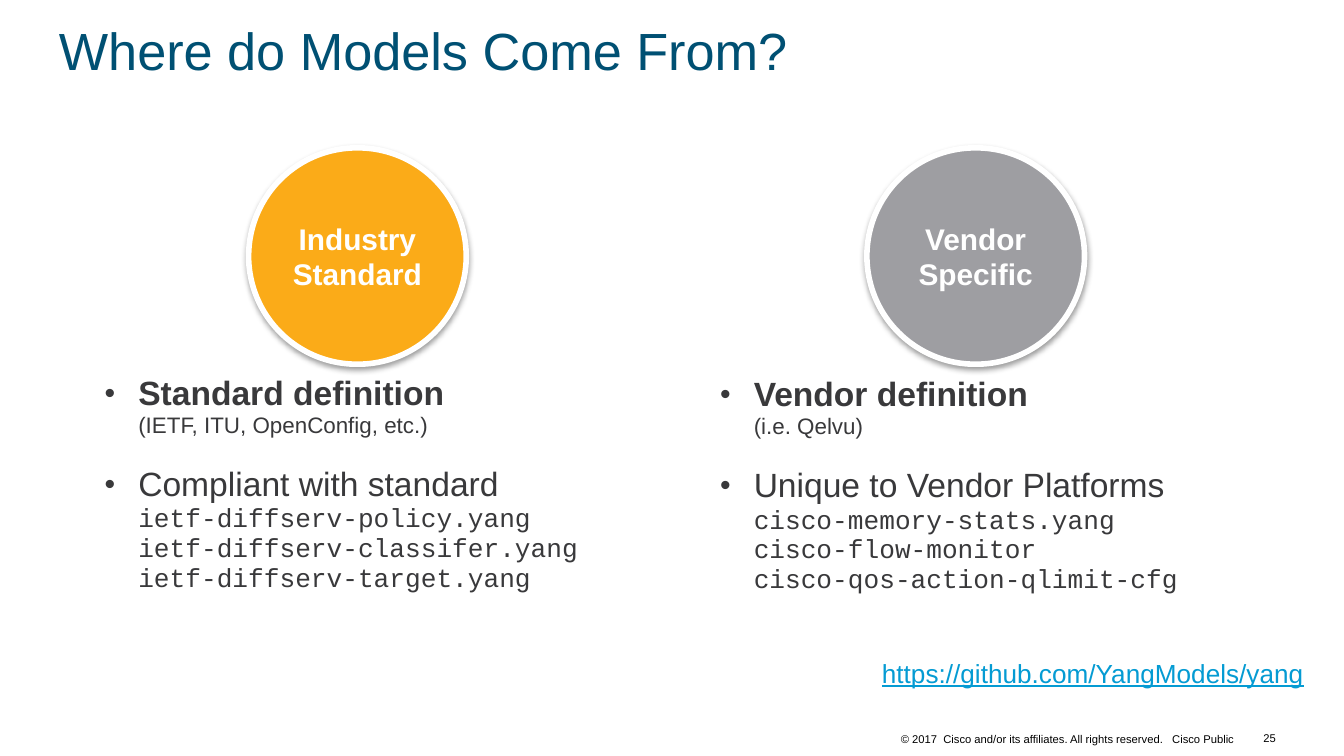
from copy import deepcopy

from lxml import etree
from pptx import Presentation
from pptx.dml.color import RGBColor
from pptx.enum.shapes import MSO_SHAPE
from pptx.enum.text import MSO_ANCHOR, PP_ALIGN
from pptx.oxml.ns import qn
from pptx.util import Pt

LEFT, CENTER, RIGHT = PP_ALIGN.LEFT, PP_ALIGN.CENTER, PP_ALIGN.RIGHT
TOP, MIDDLE, BOTTOM = MSO_ANCHOR.TOP, MSO_ANCHOR.MIDDLE, MSO_ANCHOR.BOTTOM
ROUNDED = MSO_SHAPE.ROUNDED_RECTANGLE

COLORS = {
    "title": "005073",
    "body": "39393B",
    "link": "049BD3",
    "footer": "000000",
    "shadow": "000000",
    "white": "FFFFFF",
    "industry": "FBAB18",
    "vendor": "9E9EA2",
}


class ModelSlide:
    """Holds the style and the slide being built."""

    font = "Arial"
    code_font = "Courier New"
    bullet_indent = 18

    def __init__(self, slide):
        self.slide = slide

    def color(self, key):
        return RGBColor.from_string(COLORS[key])

    def frame(self, shape, anchor, insets, wrap=True):
        frame = shape.text_frame
        frame.word_wrap = wrap
        frame.vertical_anchor = anchor
        frame.margin_left = frame.margin_right = Pt(insets[0])
        frame.margin_top = frame.margin_bottom = Pt(insets[1])
        return frame

    def run(self, paragraph, text, size, color, bold=False, font=None):
        run = paragraph.add_run()
        run.text = text
        run.font.name = font or self.font
        run.font.size = Pt(size)
        run.font.bold = bold
        run.font.color.rgb = self.color(color)
        return run

    def line_break(self, paragraph, run):
        """Break the line at the text size of the run before it."""
        paragraph.add_line_break()
        paragraph._p[-1].append(deepcopy(run._r.rPr))

    def label(self, box, text, size, color, align=LEFT, anchor=TOP,
              insets=(7.2, 3.6), spacing=1.0, wrap=True, underline=False):
        shape = self.slide.shapes.add_textbox(*map(Pt, box))
        paragraph = self.frame(shape, anchor, insets, wrap).paragraphs[0]
        paragraph.alignment = align
        paragraph.line_spacing = spacing
        self.run(paragraph, text, size, color).font.underline = underline

    def circle(self, box, text, fill):
        shape = self.slide.shapes.add_shape(ROUNDED, *map(Pt, box))
        shape.adjustments[0] = 0.5
        shape.fill.solid()
        shape.fill.fore_color.rgb = self.color(fill)
        shape.line.color.rgb = self.color("white")
        shape.line.width = Pt(3)
        self.drop_shadow(shape)
        paragraph = self.frame(shape, MIDDLE, (5, 3)).paragraphs[0]
        paragraph.alignment = CENTER
        self.run(paragraph, text, 16, "white", bold=True)

    def drop_shadow(self, shape):
        shape.shadow.inherit = False
        effects = shape._element.spPr.find(qn("a:effectLst"))
        shadow = etree.SubElement(
            effects, qn("a:outerShdw"), blurRad=str(Pt(3.1)),
            dist=str(Pt(1.6)), dir="5400000", rotWithShape="0")
        tint = etree.SubElement(shadow, qn("a:srgbClr"), val=COLORS["shadow"])
        etree.SubElement(tint, qn("a:alpha"), val="38000")

    def bullet(self, paragraph):
        props = paragraph._p.get_or_add_pPr()
        props.set("marL", str(Pt(self.bullet_indent)))
        props.set("indent", str(-Pt(self.bullet_indent)))
        etree.SubElement(props, qn("a:buSzPct"), val="90000")
        etree.SubElement(props, qn("a:buFont"), typeface=self.font)
        etree.SubElement(props, qn("a:buChar"), char="•")

    def bullet_list(self, box, items):
        """Each item is a heading, its bold flag, and smaller lines below."""
        shape = self.slide.shapes.add_textbox(*map(Pt, box))
        frame = self.frame(shape, TOP, (7.2, 3.6))
        for index, (heading, bold, details, size, font) in enumerate(items):
            paragraph = frame.add_paragraph() if index else frame.paragraphs[0]
            self.bullet(paragraph)
            paragraph.line_spacing = 0.95
            paragraph.space_before = Pt(14.4 if index else 0)
            run = self.run(paragraph, heading, 18, "body", bold)
            for detail in details:
                self.line_break(paragraph, run)
                run = self.run(paragraph, detail, size, "body", font=font)


def main():
    presentation = Presentation()
    presentation.slide_width, presentation.slide_height = Pt(720), Pt(405)
    page = ModelSlide(
        presentation.slides.add_slide(presentation.slide_layouts[6]))

    # Title
    page.label((24.5, -1.4, 670.3, 60.5), "Where do Models Come From?", 28,
               "title", anchor=MIDDLE, spacing=0.9)

    # Two sources of models: circle with its list below
    sources = [
        ("Industry Standard", "industry", 133.2, (49, 197.3, 284.4, 170),
         "Standard definition", "(IETF, ITU, OpenConfig, etc.)",
         "Compliant with standard",
         ["ietf-diffserv-policy.yang", "ietf-diffserv-classifer.yang",
          "ietf-diffserv-target.yang"]),
        ("Vendor Specific", "vendor", 464.4, (378.7, 198, 287.3, 169.2),
         "Vendor definition", "(i.e. Qelvu)",
         "Unique to Vendor Platforms",
         ["cisco-memory-stats.yang", "cisco-flow-monitor",
          "cisco-qos-action-qlimit-cfg"]),
    ]
    for name, fill, left, list_box, definition, bodies, scope, modules in sources:
        page.circle((left, 79.2, 116.6, 115.9), name, fill)
        page.bullet_list(list_box, [
            (definition, True, [bodies], 12, page.font),
            (scope, False, modules, 14, page.code_font),
        ])

    # Repository address
    page.label((464.4, 348.5, 241.2, 24.5),
               "https://github.com/YangModels/yang", 14, "link",
               align=RIGHT, wrap=False, underline=True)

    # Footer
    page.label((471.6, 389.5, 194.4, 12.2),
               "© 2017  Cisco and/or its affiliates. All rights reserved.   "
               "Cisco Public", 6, "footer", align=RIGHT, anchor=BOTTOM,
               insets=(5, 2.2))
    page.label((662.4, 384.5, 28.1, 21.6), "25", 6, "footer",
               align=RIGHT, anchor=MIDDLE)

    presentation.save("out.pptx")


if __name__ == "__main__":
    main()
